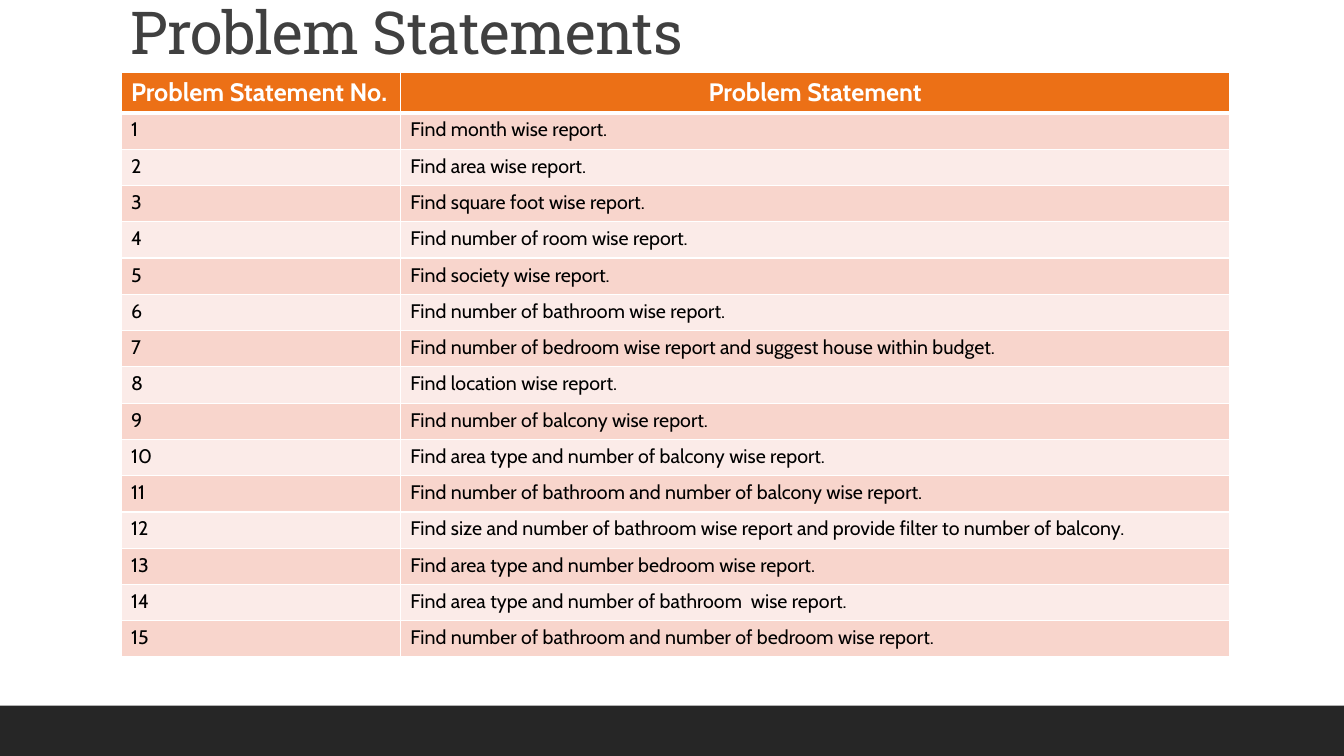
from dataclasses import dataclass

from lxml.etree import fromstring
from pptx import Presentation
from pptx.dml.color import RGBColor
from pptx.enum.shapes import MSO_SHAPE
from pptx.enum.text import MSO_ANCHOR, PP_ALIGN
from pptx.util import Inches, Pt


@dataclass
class Theme:
    white: str = "FFFFFF"
    black: str = "000000"
    title: str = "404040"
    footer: str = "262626"
    head: str = "EC7016"
    odd: str = "F8D5CC"
    even: str = "FBEBE8"
    title_font: str = "Roboto Slab"
    body_font: str = "Cabin"
    title_size: float = 42.3
    head_size: int = 18
    body_size: int = 14


theme = Theme()
NS = "http://schemas.openxmlformats.org/drawingml/2006/main"


def style(run, name, size, color, bold=False):
    font = run.font
    font.name, font.size, font.bold = name, Pt(size), bold
    font.color.rgb = RGBColor.from_string(color)


def border(cell, edges):
    """Put edge lines, given as side and width, ahead of the cell's fill."""
    props = cell._tc.get_or_add_tcPr()
    for spot, (side, width) in enumerate(edges.items()):
        props.insert(spot, fromstring(
            f'<a:ln{side} xmlns:a="{NS}" w="{Pt(width)}"><a:solidFill>'
            f'<a:srgbClr val="{theme.white}"/></a:solidFill></a:ln{side}>'))


rows = [
    ("Problem Statement No.", "Problem Statement"),
    *((str(num), text) for num, text in enumerate([
        "Find month wise report.",
        "Find area wise report.",
        "Find square foot wise report.",
        "Find number of room wise report.",
        "Find society wise report.",
        "Find number of bathroom wise report.",
        "Find number of bedroom wise report and suggest house within budget.",
        "Find location wise report.",
        "Find number of balcony wise report.",
        "Find area type and number of balcony wise report.",
        "Find number of bathroom and number of balcony wise report.",
        "Find size and number of bathroom wise report and provide filter to number of balcony.",
        "Find area type and number bedroom wise report.",
        "Find area type and number of bathroom  wise report.",
        "Find number of bathroom and number of bedroom wise report.",
    ], 1)),
]

deck = Presentation()
deck.slide_width, deck.slide_height = Inches(13.33), Inches(7.5)
slide = deck.slides.add_slide(deck.slide_layouts[6])

# Footer band
band = slide.shapes.add_shape(
    MSO_SHAPE.RECTANGLE, 0, Inches(7), Inches(13.33), Inches(0.5))
band.shadow.inherit = False
band.fill.solid()
band.fill.fore_color.rgb = RGBColor.from_string(theme.footer)
band.line.fill.background()

# Title
box = slide.shapes.add_textbox(Inches(1.2), Inches(0.08), Inches(11), Inches(0.64))
frame = box.text_frame
frame.word_wrap = True
frame.vertical_anchor = MSO_ANCHOR.BOTTOM
frame.text = "Problem Statements"
para = frame.paragraphs[0]
para.line_spacing = 0.9
style(para.runs[0], theme.title_font, theme.title_size, theme.title)
para.runs[0].font._element.set("spc", "-50")

# Table of statements
table = slide.shapes.add_table(
    len(rows), 2, Inches(1.2), Inches(0.72), Inches(11), Inches(5.78)).table
table.horz_banding = False
for col, width in zip(table.columns, (2.77, 8.23)):
    col.width = Inches(width)

for r, texts in enumerate(rows):
    head = r == 0
    table.rows[r].height = Inches(0.38 if head else 0.36)
    fill = theme.head if head else theme.odd if r % 2 else theme.even
    for c, text in enumerate(texts):
        cell = table.cell(r, c)
        cell.fill.solid()
        cell.fill.fore_color.rgb = RGBColor.from_string(fill)
        border(cell, {"L": 1, "R": 1, "T": 3 if r == 1 else 1, "B": 3 if head else 1})
        cell.text_frame.text = text
        para = cell.text_frame.paragraphs[0]
        para.alignment = PP_ALIGN.CENTER if head and c == 1 else PP_ALIGN.LEFT
        style(para.runs[0], theme.body_font,
              theme.head_size if head else theme.body_size,
              theme.white if head else theme.black, head)

deck.save("out.pptx")
